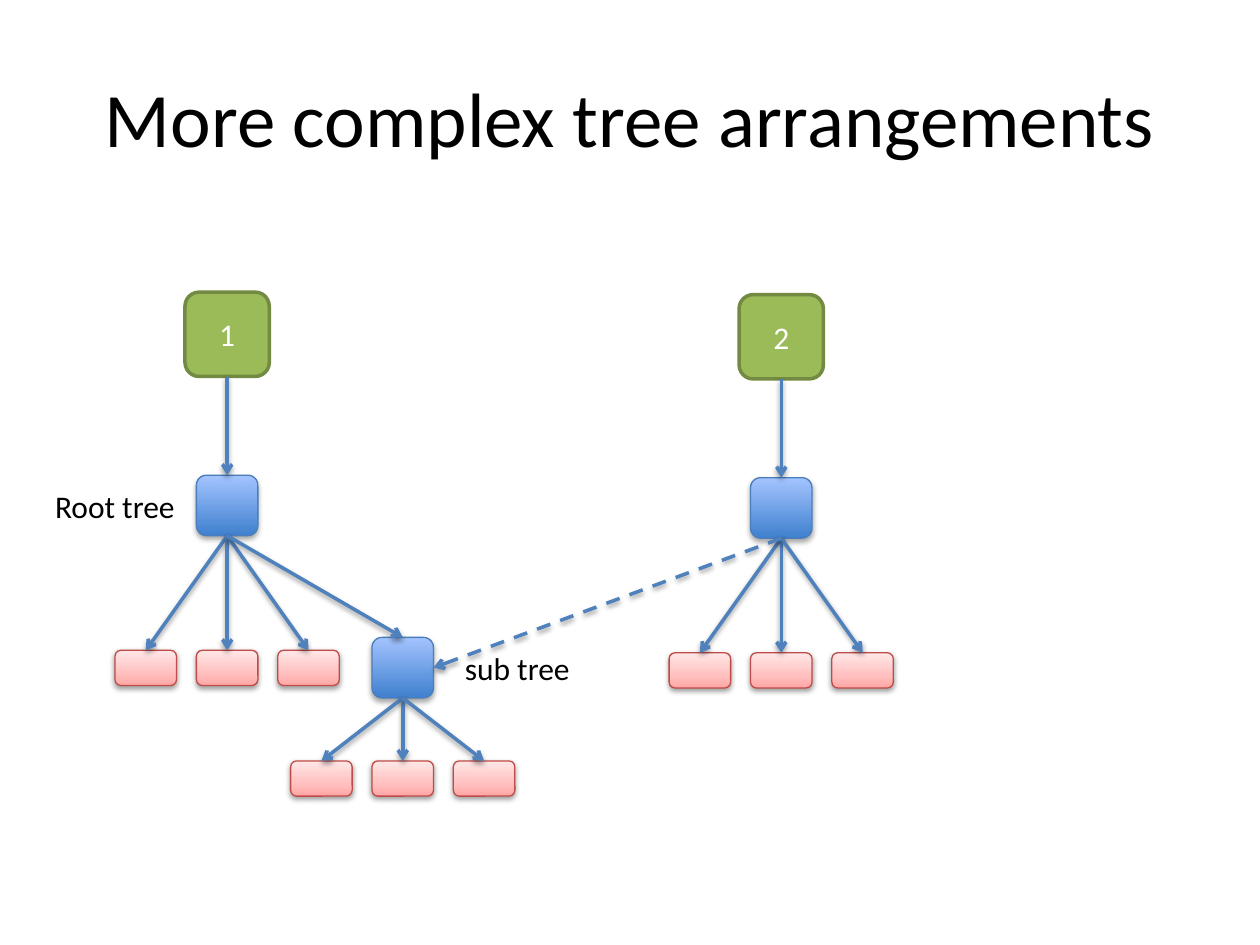
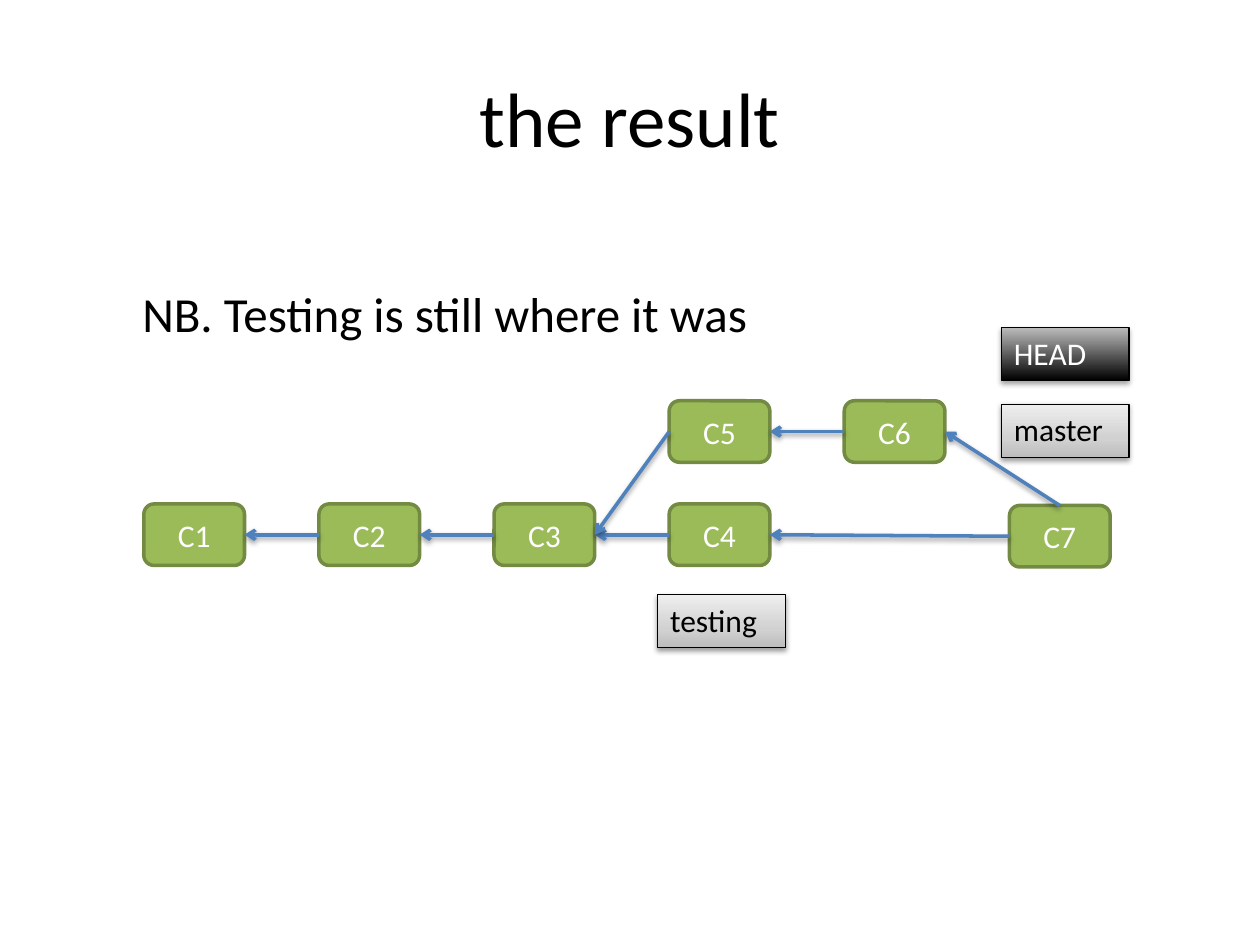
from lxml import etree
from pptx import Presentation
from pptx import util as u
from pptx.dml.color import RGBColor
from pptx.enum import dml, shapes, text
from pptx.oxml.ns import qn

FONT = "Calibri"
BLACK, WHITE = "000000", "FFFFFF"
GREEN, DARK_GREEN, ARROW_BLUE = "9BBB59", "738A42", "4F81BD"
PINK_STOPS = [(0, "FFA6A5"), (35, "FFC0BF"), (100, "FFE7E7")]
BLUE_STOPS = [(0, "3F80CE"), (100, "A4C4FF")]
GREY_STOPS = [(0, "BDBDBD"), (35, "D1D1D1"), (100, "EEEEEE")]
DARK_STOPS = [(0, "000000"), (100, "BDBDBD")]
SOFT_SHADOW, LOW_SHADOW = (38, 1.6), (35, 1.8)
TOP, LEFT, BOTTOM, RIGHT = range(4)


def color(value):
    return RGBColor.from_string(value)


def child(parent, tag, **attributes):
    return etree.SubElement(parent, qn(tag), {key: str(value) for key, value in attributes.items()})


class Deck:
    """Holds the presentation, its shared style and the current slide."""

    def __init__(self):
        self.presentation = Presentation()
        self.presentation.slide_width = u.Cm(25.4)
        self.presentation.slide_height = u.Cm(19.05)
        self.slide = None

    def new_slide(self, title):
        self.slide = self.presentation.slides.add_slide(self.presentation.slide_layouts[5])
        shape = self.slide.shapes.title
        shape.left, shape.top, shape.width, shape.height = map(u.Cm, (1.27, 0.76, 22.86, 3.17))
        self.set_text(shape, title, BLACK, 44, text.PP_ALIGN.CENTER, text.MSO_ANCHOR.MIDDLE)

    def set_text(self, shape, words, ink, size=18, align=text.PP_ALIGN.LEFT, anchor=text.MSO_ANCHOR.TOP):
        frame = shape.text_frame
        frame.text = words
        frame.word_wrap = True
        frame.vertical_anchor = anchor
        paragraph = frame.paragraphs[0]
        paragraph.alignment = align
        font = paragraph.runs[0].font
        font.name, font.size = FONT, u.Pt(size)
        font.color.rgb = color(ink)

    def shade(self, effects, shadow):
        alpha, distance = shadow
        outer = child(effects, "a:outerShdw", blurRad=u.Pt(3.1), dist=u.Pt(distance),
                      dir=5400000, rotWithShape=0)
        child(child(outer, "a:srgbClr", val=BLACK), "a:alpha", val=alpha * 1000)

    def box(self, kind, left, top, width, height, outline, line_width):
        shape = self.slide.shapes.add_shape(kind, *map(u.Cm, (left, top, width, height)))
        shape.shadow.inherit = False
        shape.line.color.rgb = color(outline)
        shape.line.width = u.Pt(line_width)
        return shape

    def gradient_box(self, kind, left, top, width, height, outline, stops, shadow):
        shape = self.box(kind, left, top, width, height, outline, 0.75)
        shape.fill.gradient()
        shape.fill.gradient_angle = 90
        properties = shape.element.spPr
        stop_list = properties.find(".//" + qn("a:gsLst"))
        for old_stop in list(stop_list):
            stop_list.remove(old_stop)
        for position, value in stops:
            child(child(stop_list, "a:gs", pos=position * 1000), "a:srgbClr", val=value)
        self.shade(properties.find(qn("a:effectLst")), shadow)
        return shape

    def commit(self, name, left, top, width=2.03, height=1.24):
        shape = self.box(shapes.MSO_SHAPE.ROUNDED_RECTANGLE, left, top, width, height, DARK_GREEN, 2)
        shape.fill.solid()
        shape.fill.fore_color.rgb = color(GREEN)
        self.set_text(shape, name, WHITE, 18, text.PP_ALIGN.CENTER, text.MSO_ANCHOR.MIDDLE)
        return shape

    def tree(self, center, top, leaf_drop, width=1.24, leaf_gap=1.64):
        kind = shapes.MSO_SHAPE.ROUNDED_RECTANGLE
        left = center - width / 2
        node = self.gradient_box(kind, left, top, width, 1.22, "4B7EBC", BLUE_STOPS, LOW_SHADOW)
        for column in (-1, 0, 1):
            leaf = self.gradient_box(kind, left + column * leaf_gap, top + leaf_drop, width, 0.71,
                                     "BF4C48", PINK_STOPS, SOFT_SHADOW)
            self.arrow(node, BOTTOM, leaf, TOP)
        return node

    def committed_tree(self, name, center, top):
        size = 1.7
        commit = self.commit(name, center - size / 2, top, size, size)
        root = self.tree(center, top + 3.69, 3.53)
        self.arrow(commit, BOTTOM, root, TOP)
        return root

    def reference(self, name, left, top, stops=GREY_STOPS, ink=BLACK, shadow=SOFT_SHADOW):
        shape = self.gradient_box(shapes.MSO_SHAPE.RECTANGLE, left, top, 2.57, 1.07, BLACK, stops, shadow)
        self.set_text(shape, name, ink)

    def label(self, words, left, top, width, height, size=18):
        shape = self.slide.shapes.add_textbox(*map(u.Cm, (left, top, width, height)))
        self.set_text(shape, words, BLACK, size)

    def arrow(self, start, start_site, end, end_site, dashed=False):
        connector = self.slide.shapes.add_connector(shapes.MSO_CONNECTOR.STRAIGHT, 0, 0, 0, 0)
        connector.begin_connect(start, start_site)
        connector.end_connect(end, end_site)
        connector.line.color.rgb = color(ARROW_BLUE)
        connector.line.width = u.Pt(2)
        if dashed:
            connector.line.dash_style = dml.MSO_LINE.DASH
        properties = connector.element.spPr
        child(properties.find(qn("a:ln")), "a:tailEnd", type="arrow")
        self.shade(child(properties, "a:effectLst"), SOFT_SHADOW)


def tree_slide(deck):
    deck.new_slide("More complex tree arrangements")
    first_root = deck.committed_tree("1", 4.58, 5.89)
    sub_tree = deck.tree(8.12, 12.85, 2.49)
    deck.arrow(first_root, BOTTOM, sub_tree, TOP)
    deck.label("Root tree", 0.86, 9.7, 3.2, 1.02)
    deck.label("sub tree", 9.12, 12.95, 3.2, 1.02)
    second_root = deck.committed_tree("2", 15.75, 5.94)
    deck.arrow(second_root, BOTTOM, sub_tree, RIGHT, dashed=True)


def result_slide(deck):
    deck.new_slide("the result")
    first_left, step, main_top, branch_top = 2.9, 3.53, 10.16, 8.08
    columns = [(0, main_top), (1, main_top), (2, main_top), (3, main_top), (3, branch_top), (4, branch_top)]
    commits = [deck.commit(f"C{number}", first_left + column * step, top)
               for number, (column, top) in enumerate(columns, 1)]
    c1, c2, c3, c4, c5, c6 = commits
    c7 = deck.commit("C7", 20.35, 10.19)
    for newer, older in [(c2, c1), (c3, c2), (c4, c3), (c5, c3), (c6, c5), (c7, c4)]:
        deck.arrow(newer, LEFT, older, RIGHT)
    deck.arrow(c7, TOP, c6, RIGHT)
    deck.reference("testing", 13.26, 11.99)
    deck.reference("master", 20.19, 8.15)
    deck.reference("HEAD", 20.19, 6.6, DARK_STOPS, WHITE, LOW_SHADOW)
    deck.label("NB. Testing is still where it was", 2.62, 5.59, 13.21, 1.45, 28)


def main():
    deck = Deck()
    tree_slide(deck)
    result_slide(deck)
    deck.presentation.save("out.pptx")


if __name__ == "__main__":
    main()
